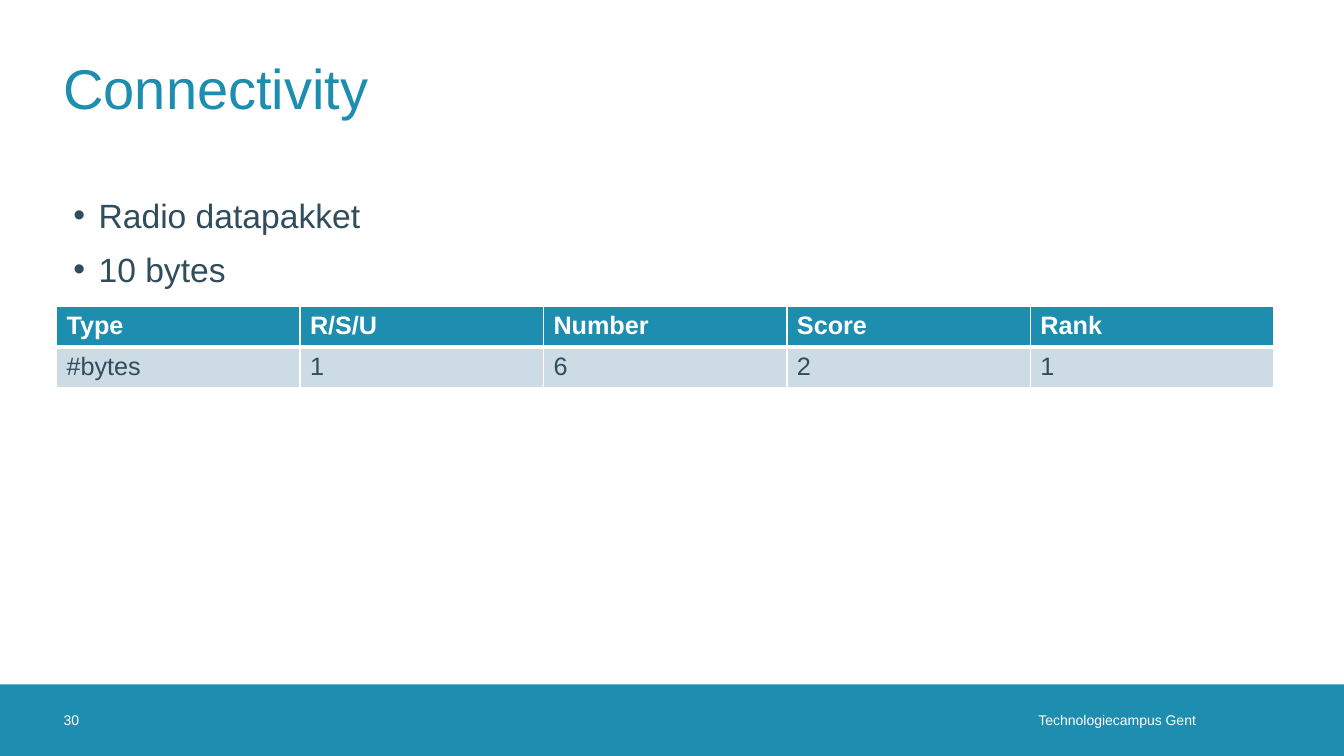
from lxml import etree
from pptx import Presentation
from pptx.dml.color import RGBColor
from pptx.enum.shapes import MSO_SHAPE
from pptx.enum.text import MSO_ANCHOR, PP_ALIGN
from pptx.oxml.ns import qn
from pptx.util import Inches, Pt

TEAL, SLATE, PALE, WHITE = "1D8DB0", "2F4D5D", "CDDBE4", "FFFFFF"


def rgb(value):
    return RGBColor.from_string(value)


class SlideBuilder:
    font_name = "Arial"

    def __init__(self, slide):
        self.slide = slide

    def style(self, paragraph, size, color, bold=False):
        for run in paragraph.runs:
            run.font.name = self.font_name
            run.font.size = Pt(size)
            run.font.bold = bold
            run.font.color.rgb = rgb(color)

    def bar(self, left, top, width, height, color):
        shape = self.slide.shapes.add_shape(
            MSO_SHAPE.RECTANGLE, Inches(left), Inches(top), Inches(width), Inches(height))
        shape.shadow.inherit = False
        shape.fill.solid()
        shape.fill.fore_color.rgb = rgb(color)
        shape.line.fill.background()

    def text_frame(self, left, top, width, height):
        """Add an empty wrapping text box and return its text frame."""
        box = self.slide.shapes.add_textbox(
            Inches(left), Inches(top), Inches(width), Inches(height))
        box.text_frame.word_wrap = True
        return box.text_frame

    def label(self, text, left, top, width, height, size, color,
              align=PP_ALIGN.LEFT, right_margin=0):
        """Add one vertically centred line of text without other margins."""
        frame = self.text_frame(left, top, width, height)
        frame.margin_left = frame.margin_top = frame.margin_bottom = 0
        frame.margin_right = Inches(right_margin)
        frame.vertical_anchor = MSO_ANCHOR.MIDDLE
        frame.text = text
        frame.paragraphs[0].alignment = align
        self.style(frame.paragraphs[0], size, color)

    def bullets(self, items, left, top, width, height, size, color):
        frame = self.text_frame(left, top, width, height)
        frame.text = "\n".join(items)
        for index, paragraph in enumerate(frame.paragraphs):
            properties = paragraph._p.get_or_add_pPr()
            properties.set("marL", str(Inches(0.25)))
            properties.set("indent", str(Inches(-0.25)))
            etree.SubElement(properties, qn("a:buFont"), typeface=self.font_name)
            etree.SubElement(properties, qn("a:buChar"), char="•")
            if index:
                paragraph.space_before = Pt(10)
            self.style(paragraph, size, color)

    def cell_borders(self, cell, bottom_width):
        properties = cell._tc.get_or_add_tcPr()
        widths = {"a:lnL": 1, "a:lnR": 1, "a:lnT": 1, "a:lnB": bottom_width}
        for position, (tag, width) in enumerate(widths.items()):
            line = etree.Element(qn(tag), w=str(Pt(width)))
            fill = etree.SubElement(line, qn("a:solidFill"))
            etree.SubElement(fill, qn("a:srgbClr"), val=WHITE)
            properties.insert(position, line)

    def table(self, rows, left, top, column_width, row_height, size):
        columns = len(rows[0])
        table = self.slide.shapes.add_table(
            len(rows), columns, Inches(left), Inches(top),
            Inches(column_width * columns), Inches(row_height * len(rows))).table
        for column in table.columns:
            column.width = Inches(column_width)
        for row_index, values in enumerate(rows):
            header = row_index == 0
            table.rows[row_index].height = Inches(row_height)
            for column_index, value in enumerate(values):
                cell = table.cell(row_index, column_index)
                cell.text = value
                cell.fill.solid()
                cell.fill.fore_color.rgb = rgb(TEAL if header else PALE)
                self.style(cell.text_frame.paragraphs[0], size,
                           WHITE if header else SLATE, bold=header)
                self.cell_borders(cell, 3 if header else 1)
                if not header:
                    # The shared edge takes the header's thick line.
                    cell._tc.tcPr.find(qn("a:lnT")).set("w", str(Pt(3)))


def main():
    presentation = Presentation()
    presentation.slide_width = Inches(13.33)
    presentation.slide_height = Inches(7.5)
    builder = SlideBuilder(presentation.slides.add_slide(presentation.slide_layouts[6]))

    footer_top, footer_height = 6.79, 0.71
    builder.bar(0, footer_top, 13.33, footer_height, TEAL)
    builder.table([["Type", "R/S/U", "Number", "Score", "Rank"],
                   ["#bytes", "1", "6", "2", "1"]], 0.56, 3.04, 2.415, 0.405, 18)
    builder.label("Technologiecampus Gent", 6.6, footer_top, 5.46, footer_height,
                  10, WHITE, PP_ALIGN.RIGHT, right_margin=0.2)
    builder.label("30", 0.63, footer_top, 0.71, footer_height, 10, WHITE)
    builder.label("Connectivity", 0.63, 0.23, 12.07, 1.26, 40, TEAL)
    builder.bullets(["Radio datapakket", "10 bytes"], 0.63, 1.88, 12.07, 4.88, 24, SLATE)

    presentation.save("out.pptx")


if __name__ == "__main__":
    main()
